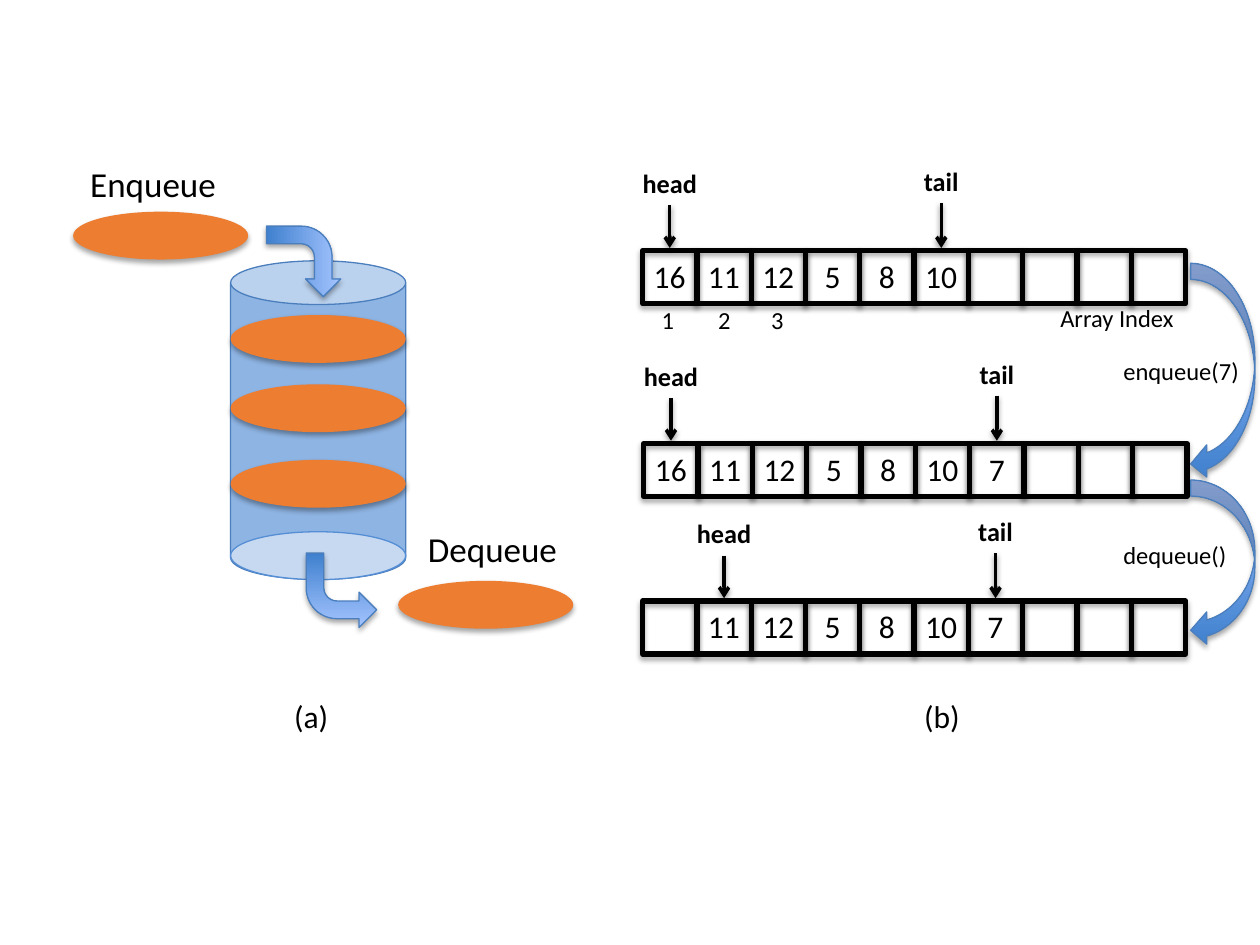
from dataclasses import dataclass

from lxml import etree
from pptx import Presentation
from pptx import util as u
from pptx.dml.color import RGBColor
from pptx.enum import shapes, text
from pptx.oxml.ns import qn


@dataclass
class Theme:
    font: str = "Calibri"
    ink: str = "000000"
    disc: str = "ED7D31"
    can: str = "8EB4E3"
    base: str = "C6D9F1"
    rim: str = "558ED5"
    edge: str = "4B7EBC"
    ramp: tuple = ("3F80CE", "A4C4FF")
    big: int = 20
    mid: int = 18
    mark: int = 15
    small: int = 14


theme = Theme()
kind = shapes.MSO_SHAPE
mid, right = text.PP_ALIGN.CENTER, text.PP_ALIGN.RIGHT

deck = Presentation()
deck.slide_width, deck.slide_height = u.Inches(10), u.Inches(7.5)
slide = deck.slides.add_slide(deck.slide_layouts[6])

# The page is a grid of 100 columns and 75 rows
col, row = deck.slide_width // 100, deck.slide_height // 75


def style(part, line=None, width=0.75, shade=35, dist=1.8):
    """Set the outline, then the soft shadow below the part (shade 0: none)."""
    if line:
        part.line.color.rgb = RGBColor.from_string(line)
        part.line.width = u.Pt(width)
    else:
        part.line.fill.background()
    props = part._element.spPr
    for old in props.findall(qn("a:effectLst")):
        props.remove(old)
    effects = etree.SubElement(props, qn("a:effectLst"))
    if shade:
        drop = etree.SubElement(effects, qn("a:outerShdw"), blurRad=str(u.Pt(3.1)),
                                dist=str(u.Pt(dist)), dir="5400000", rotWithShape="0")
        tone = etree.SubElement(drop, qn("a:srgbClr"), val=theme.ink)
        etree.SubElement(tone, qn("a:alpha"), val=str(shade * 1000))


def label(words, x, y, w, h, size, bold=False, align=mid):
    box = slide.shapes.add_textbox(int(x * col), int(y * row), int(w * col), int(h * row))
    frame = box.text_frame
    frame.word_wrap = False
    frame.auto_size = text.MSO_AUTO_SIZE.SHAPE_TO_FIT_TEXT
    para = frame.paragraphs[0]
    para.alignment = align
    run = para.add_run()
    run.text = words
    run.font.name, run.font.size, run.font.bold = theme.font, u.Pt(size), bold
    run.font.color.rgb = RGBColor.from_string(theme.ink)


# (a) The can, its discs and its base
for form, x, y, w, h, fill, line, shade in (
    (kind.CAN, 18.3, 20.7, 13.9, 25.3, theme.can, theme.edge, 0),
    (kind.OVAL, 18.3, 25, 13.9, 3.8, theme.disc, None, 35),
    (kind.OVAL, 18.3, 36.5, 13.9, 3.8, theme.disc, None, 35),
    (kind.OVAL, 5.8, 16.8, 13.9, 3.8, theme.disc, None, 35),
    (kind.OVAL, 18.3, 30.5, 13.9, 3.8, theme.disc, None, 35),
    (kind.OVAL, 31.6, 46.1, 13.9, 3.8, theme.disc, None, 35),
    (kind.OVAL, 18.3, 42.2, 13.9, 3.8, theme.base, theme.rim, 0),
):
    part = slide.shapes.add_shape(form, int(x * col), int(y * row), int(w * col), int(h * row))
    part.fill.solid()
    part.fill.fore_color.rgb = RGBColor.from_string(fill)
    style(part, line, shade=shade)

label("Enqueue", 6.1, 12.4, 12.1, 4.4, theme.big)
label("Dequeue", 32.8, 41.4, 12.4, 4.4, theme.big, align=right)

# (b) Three states of the array, with head and tail marks
pitch, tall = 4.31, 4.2
for x, y, cells, head, tail in (
    (51, 19.9, ["16", "11", "12", "5", "8", "10", "", "", "", ""], 0, 5),
    (51.1, 35.2, ["16", "11", "12", "5", "8", "10", "7", "", "", ""], 0, 6),
    (51, 47.7, ["", "11", "12", "5", "8", "10", "7", "", "", ""], 1, 6),
):
    for i, value in enumerate(cells):
        left = x + i * pitch
        cell = slide.shapes.add_shape(kind.RECTANGLE, int(left * col), int(y * row),
                                      int(pitch * col), int(tall * row))
        cell.fill.background()
        style(cell, theme.ink, 3)
        if value:
            label(value, left - 0.15, y, 4.6, 4, theme.mid)
    for name, slot, wide, lift in (("head", head, 6.4, 7.1), ("tail", tail, 4.8, 7.3)):
        axis = x + (slot + 0.5) * pitch
        label(name, axis - wide / 2, y - lift, wide, 3.5, theme.mark, True)
        arrow = slide.shapes.add_connector(
            shapes.MSO_CONNECTOR.STRAIGHT, int(axis * col), int((y - lift + 3.5) * row),
            int(axis * col), int((y - 0.22) * row))
        style(arrow, theme.ink, 2, shade=38, dist=1.6)
        etree.SubElement(arrow.line._get_or_add_ln(), qn("a:tailEnd"), type="arrow")

# Index numbers and calls
for words, x, y, w in (
    ("1", 51.5, 23.7, 3), ("2", 56, 23.7, 3), ("3", 60.2, 23.7, 3),
    ("Array Index", 83.1, 23.6, 11.1),
    ("enqueue(7)", 88.1, 27.8, 11.3), ("dequeue()", 88.1, 42.4, 10.3),
):
    label(words, x, y, w, 3.4, theme.small)

# Block arrows with a gradient
for form, x, y, w, h, turn, flip in (
    (kind.BENT_ARROW, 21.3, 17.8, 5.6, 5.9, 90, False),
    (kind.BENT_ARROW, 24.3, 43.9, 5.6, 5.9, 180, True),
    (kind.CURVED_RIGHT_ARROW, 94.5, 20.9, 5.1, 17.2, 0, True),
    (kind.CURVED_RIGHT_ARROW, 94.5, 38.1, 5.1, 13.2, 0, True),
):
    part = slide.shapes.add_shape(form, int(x * col), int(y * row), int(w * col), int(h * row))
    part.rotation = turn
    if flip:
        part._element.spPr.xfrm.set("flipH", "1")
    part.fill.gradient()
    part.fill.gradient_angle = 90
    for stop, tone, place in zip(part.fill.gradient_stops, theme.ramp, (0, 1)):
        stop.color.rgb = RGBColor.from_string(tone)
        stop.position = place
    style(part, theme.edge)

# Captions
label("(a)", 22.3, 54.8, 4.8, 4, theme.mid)
label("(b)", 72.3, 54.8, 4.9, 4, theme.mid)

deck.save("out.pptx")
